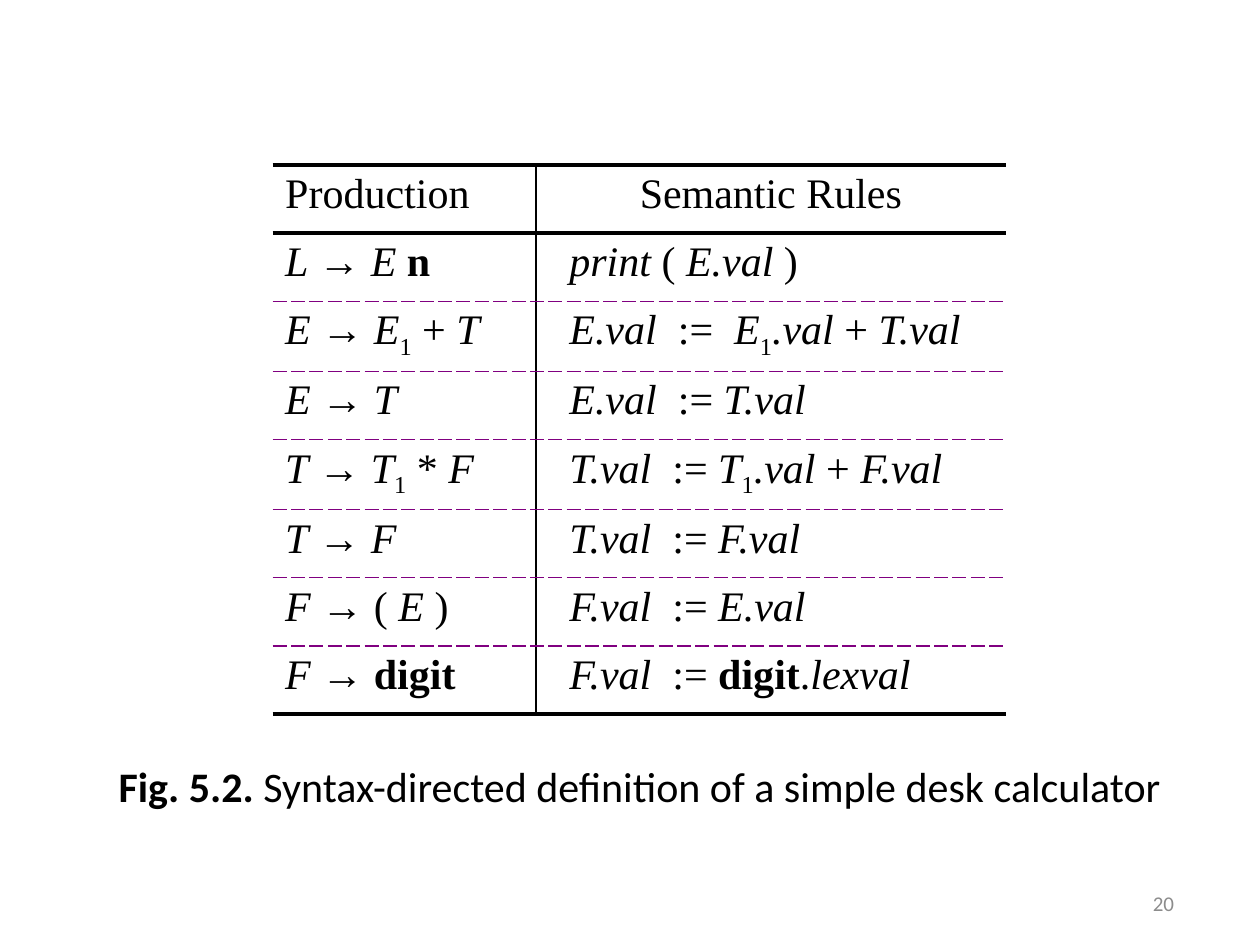
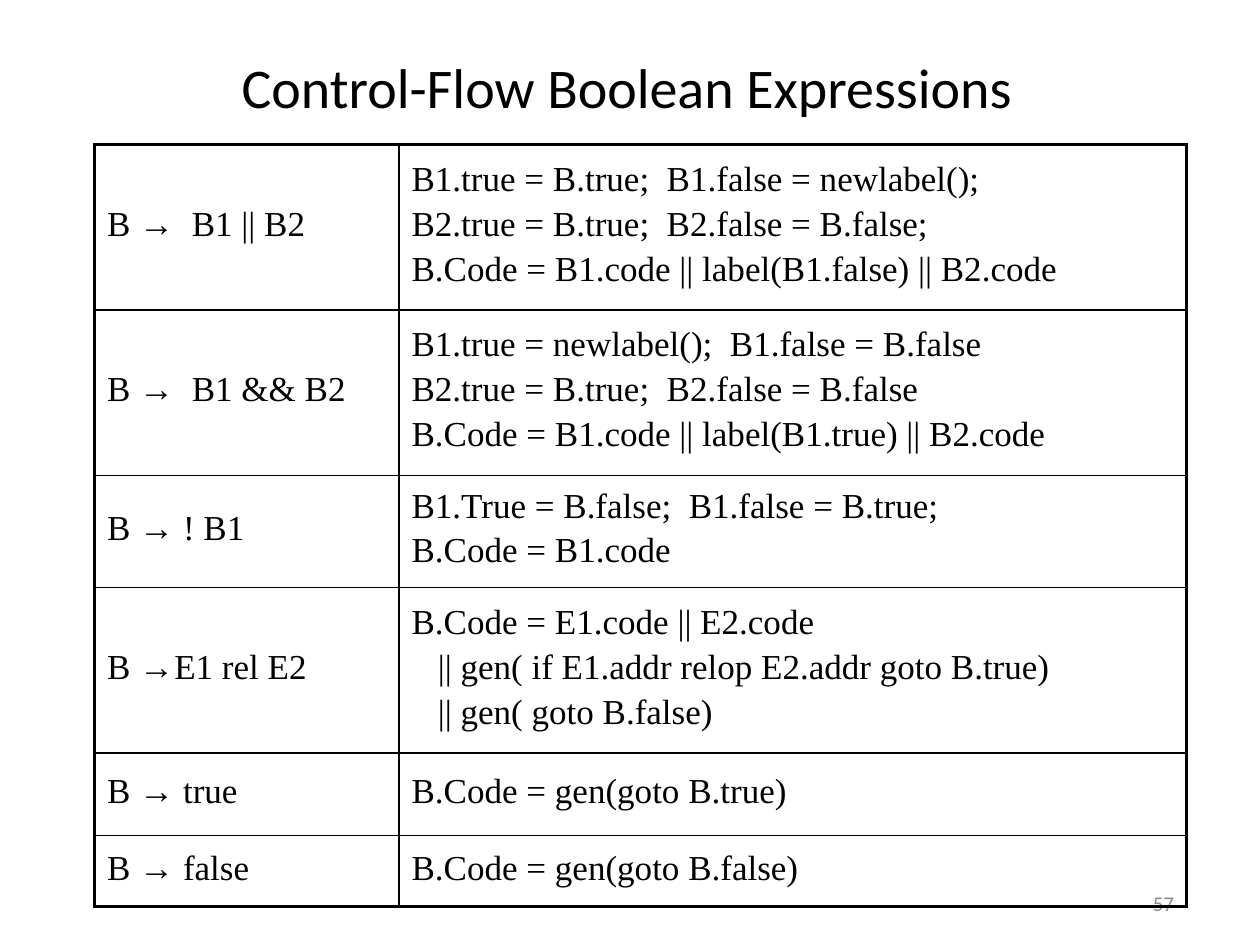
from lxml import etree
from pptx import Presentation
from pptx.dml.color import RGBColor
from pptx.enum import text as tx
from pptx.oxml import ns
from pptx.util import Pt

COL = {"ink": "000000", "dash": "800080", "page": "8C8C8C"}
SANS, SERIF, ARROW = "Calibri", "Times New Roman", "Arial"
THICK = ("ink", 2.25, "solid")
THIN = ("ink", 1, "solid")
DASH = ("dash", 1, "sysDash")
LEFT, MID, RIGHT = tx.PP_ALIGN.LEFT, tx.PP_ALIGN.CENTER, tx.PP_ALIGN.RIGHT

TO = ("→ ", "")
SET = (":= ", "")
SUB = ("1", "s")

RULES = [
    ([("Production", "")], [("Semantic Rules", "")]),
    ([("L ", "i"), TO, ("E ", "i"), ("n", "b")],
     [("print", "i"), (" ( ", ""), ("E.val", "i"), (" )", "")]),
    ([("E ", "i"), TO, ("E", "i"), SUB, (" + ", ""), ("T", "i")],
     [("E.val  ", "i"), (":=  ", ""), ("E", "i"), SUB, (".val ", "i"),
      ("+ ", ""), ("T.val", "i")]),
    ([("E ", "i"), TO, ("T", "i")],
     [("E.val  ", "i"), SET, ("T.val", "i")]),
    ([("T ", "i"), TO, ("T", "i"), SUB, (" * ", ""), ("F", "i")],
     [("T.val  ", "i"), SET, ("T", "i"), SUB, (".val ", "i"),
      ("+ ", ""), ("F.val", "i")]),
    ([("T ", "i"), TO, ("F", "i")],
     [("T.val  ", "i"), SET, ("F.val", "i")]),
    ([("F ", "i"), ("→ ( ", ""), ("E ", "i"), (")", "")],
     [("F.val  ", "i"), SET, ("E.val", "i")]),
    ([("F ", "i"), TO, ("digit", "b")],
     [("F.val  ", "i"), SET, ("digit", "b"), (".", ""), ("lexval", "i")]),
]

FLOWS = [
    ("  B1 || B2", 94.6, ["B1.true = B.true;  B1.false = newlabel();",
                          "B2.true = B.true;  B2.false = B.false;",
                          "B.Code = B1.code || label(B1.false) || B2.code"]),
    ("  B1 && B2", 94.6, ["B1.true = newlabel();  B1.false = B.false",
                          "B2.true = B.true;  B2.false = B.false",
                          "B.Code = B1.code || label(B1.true) || B2.code"]),
    (" ! B1", 64, ["B1.True = B.false;  B1.false = B.true;",
                   "B.Code = B1.code"]),
    ("E1 rel E2", 94.6, ["B.Code = E1.code || E2.code",
                         "|| gen( if E1.addr relop E2.addr goto B.true)",
                         "|| gen( goto B.false)"]),
    (" true", 47.2, ["B.Code = gen(goto B.true)"]),
    (" false", 40.4, ["B.Code = gen(goto B.false)"]),
]


def add_run(para, words, style, size, face, tone="ink"):
    run = para.add_run()
    run.text = words
    font = run.font
    font.size, font.name = Pt(size), face
    font.bold, font.italic = "b" in style, "i" in style
    font.color.rgb = RGBColor.from_string(COL[tone])
    if "s" in style:
        run._r.get_or_add_rPr().set("baseline", "-25000")


def add_text(slide, box, runs, size, align, tone="ink"):
    frame = slide.shapes.add_textbox(*map(Pt, box)).text_frame
    frame.word_wrap = True
    frame.vertical_anchor = tx.MSO_ANCHOR.MIDDLE
    para = frame.paragraphs[0]
    para.alignment = align
    for words, style in runs:
        add_run(para, words, style, size, SANS, tone)


def add_page(slide, number):
    add_text(slide, (528, 498, 150, 36), [(number, "")], 12, RIGHT, "page")


def add_grid(slide, left, top, cols, rows):
    box = map(Pt, (left, top, sum(cols), sum(rows)))
    grid = slide.shapes.add_table(len(rows), len(cols), *box).table
    grid.first_row = grid.horz_banding = False
    for col, width in zip(grid.columns, cols):
        col.width = Pt(width)
    for row, height in zip(grid.rows, rows):
        row.height = Pt(height)
    return grid


def set_edge(cell, **edges):
    cell.fill.background()
    props = cell._tc.get_or_add_tcPr()
    for spot, side in enumerate("LRTB"):
        line = etree.Element(ns.qn("a:ln" + side))
        props.insert(spot, line)
        edge = edges.get(side)
        if edge is None:
            etree.SubElement(line, ns.qn("a:noFill"))
            continue
        tone, width, dash = edge
        line.set("w", str(Pt(width)))
        fill = etree.SubElement(line, ns.qn("a:solidFill"))
        etree.SubElement(fill, ns.qn("a:srgbClr"), val=COL[tone])
        etree.SubElement(line, ns.qn("a:prstDash"), val=dash)


def add_rules(slide):
    grid = add_grid(slide, 155.8, 94.2, (150.4, 268.8), [39] * len(RULES))
    edges = [THICK, THICK] + [DASH] * (len(RULES) - 2) + [THICK]
    for r, pair in enumerate(RULES):
        for c, runs in enumerate(pair):
            cell = grid.cell(r, c)
            set_edge(cell, T=edges[r], B=edges[r + 1],
                     **{"L" if c else "R": THIN})
            para = cell.text_frame.paragraphs[0]
            if c and r:
                cell.margin_left = Pt(19.2)
            para.alignment = MID if c and not r else LEFT
            for words, style in runs:
                add_run(para, words, style, 24, SERIF)


def add_lines(cell, lines):
    cell.vertical_anchor = tx.MSO_ANCHOR.MIDDLE
    cell.margin_top, cell.margin_bottom = Pt(1.4), Pt(3.6)
    frame = cell.text_frame
    for n, runs in enumerate(lines):
        para = frame.add_paragraph() if n else frame.paragraphs[0]
        para.line_spacing, para.space_before = 0.93, Pt(5)
        if runs[0][0].startswith("||"):
            para._p.get_or_add_pPr().set("marL", str(Pt(15)))
        for words, face in runs:
            add_run(para, words, "", 20, face)


def add_flows(slide):
    grid = add_grid(slide, 54, 82.6, (174, 450), [flow[1] for flow in FLOWS])
    edges = [THICK] + [THIN] * (len(FLOWS) - 1) + [THICK]
    for r, (head, _, code) in enumerate(FLOWS):
        sides = {"T": edges[r], "B": edges[r + 1]}
        left, right = grid.cell(r, 0), grid.cell(r, 1)
        set_edge(left, L=THICK, R=THIN, **sides)
        set_edge(right, L=THIN, R=THICK, **sides)
        add_lines(left, [[("B ", SERIF), ("→", ARROW), (head, SERIF)]])
        add_lines(right, [[(line, SERIF)] for line in code])


def main():
    deck = Presentation()
    deck.slide_width, deck.slide_height = Pt(720), Pt(540)
    blank = deck.slide_layouts[6]

    calc = deck.slides.add_slide(blank)
    note = " Syntax-directed definition of a simple desk calculator"
    add_text(calc, (48, 423.4, 635, 51), [("Fig. 5.2.", "b"), (note, "")], 24, MID)
    add_rules(calc)
    add_page(calc, "20")

    flow = deck.slides.add_slide(blank)
    title = [("Control-Flow Boolean Expressions", "")]
    add_text(flow, (55.4, 26, 606, 46), title, 32, MID)
    add_page(flow, "57")
    add_flows(flow)

    deck.save("out.pptx")


if __name__ == "__main__":
    main()
